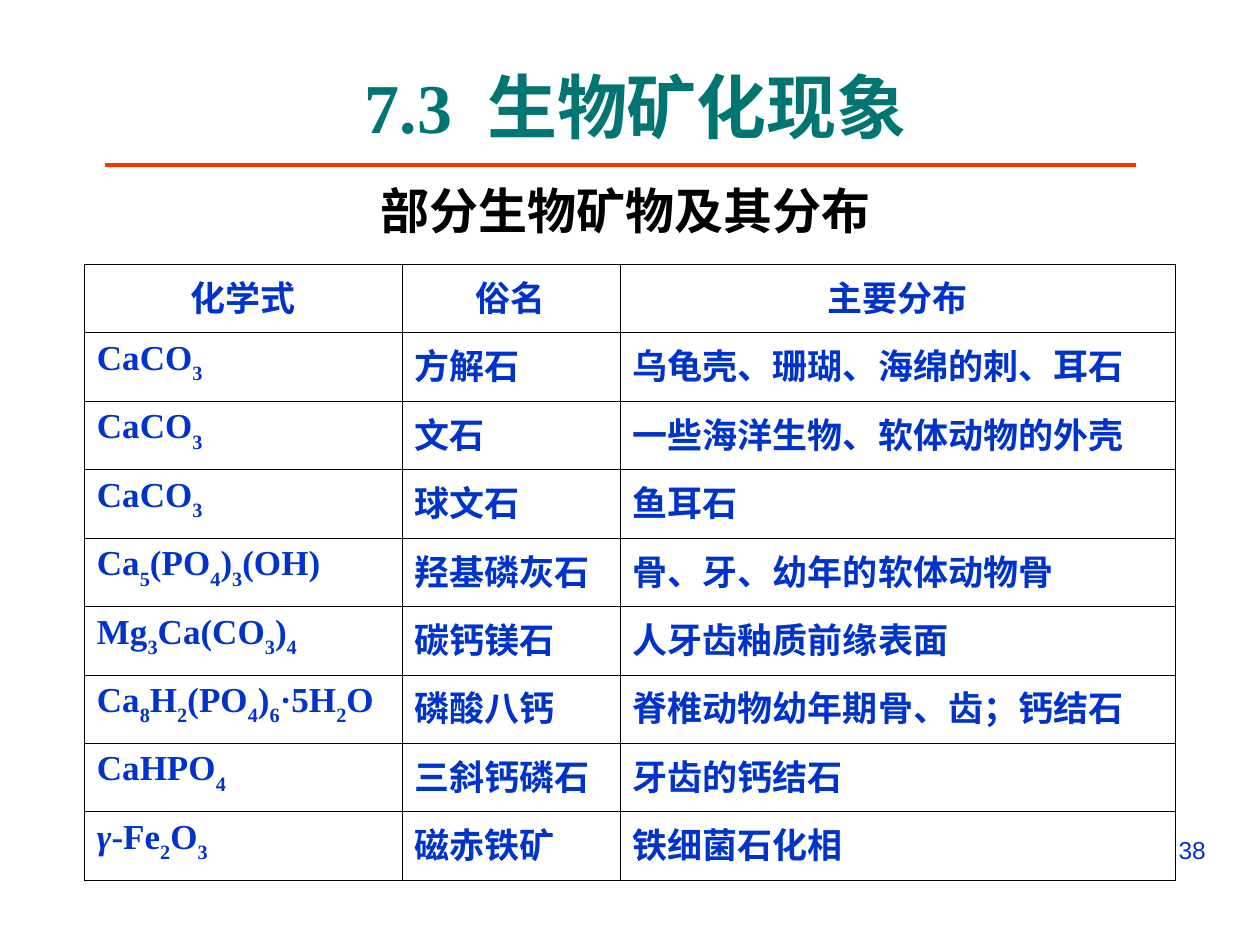
from lxml import etree
from pptx import Presentation
from pptx.dml.color import RGBColor
from pptx.enum.shapes import MSO_CONNECTOR
from pptx.enum.text import MSO_ANCHOR, PP_ALIGN
from pptx.oxml.ns import qn
from pptx.util import Cm, Pt

LEFT, CENTER, RIGHT = PP_ALIGN.LEFT, PP_ALIGN.CENTER, PP_ALIGN.RIGHT
TOP, MIDDLE = MSO_ANCHOR.TOP, MSO_ANCHOR.MIDDLE
STRAIGHT = MSO_CONNECTOR.STRAIGHT
SERIF, SANS = "Times New Roman", "Arial"
COLORS = {"title": "007572", "rule": "FF3300", "text": "0033CC",
          "black": "000000"}

TITLE = [("7.3  ", {}), ("生物矿化现象", {"font": SANS})]
SUBTITLE = " 部分生物矿物及其分布"
PAGE = "38"
HEADER = ["化学式", "俗名", "主要分布"]
MINERALS = [
    ("CaCO_3", "方解石", "乌龟壳、珊瑚、海绵的刺、耳石"),
    ("CaCO_3", "文石", "一些海洋生物、软体动物的外壳"),
    ("CaCO_3", "球文石", "鱼耳石"),
    ("Ca_5_(PO_4_)_3_(OH)", "羟基磷灰石", "骨、牙、幼年的软体动物骨"),
    ("Mg_3_Ca(CO_3_)_4", "碳钙镁石", "人牙齿釉质前缘表面"),
    ("Ca_8_H_2_(PO_4_)_6_·5H_2_O", "磷酸八钙", "脊椎动物幼年期骨、齿；钙结石"),
    ("CaHPO_4", "三斜钙磷石", "牙齿的钙结石"),
    ("γ-Fe_2_O_3", "磁赤铁矿", "铁细菌石化相"),
]
COL_WIDTHS = [6.4, 4.4, 11.2]
ROW_HEIGHT = 1.38


def formula(text):
    pieces = []
    for i, part in enumerate(text.split("_")):
        if part.startswith("γ"):
            pieces.append(("γ", {"italic": True}))
            part = part[1:]
        pieces.append((part, {"sub": i % 2 == 1}))
    return pieces


def add_run(p, text, size=20, font=SERIF, color="text", bold=True,
            italic=False, sub=False):
    r = p.add_run()
    r.text = text
    r.font.size = Pt(size)
    r.font.name = font
    r.font.bold = bold
    r.font.italic = italic
    r.font.color.rgb = RGBColor.from_string(COLORS[color])
    if sub:
        r.font._element.set("baseline", "-30000")


def write(tf, text, align=LEFT, **style):
    p = tf.paragraphs[0]
    p.alignment = align
    pieces = [(text, {})] if isinstance(text, str) else text
    for part, changes in pieces:
        add_run(p, part, **{**style, **changes})
    return p


def add_text(s, box, text, anchor=TOP, inset=(0.25, 0.13), **style):
    tf = s.shapes.add_textbox(*map(Cm, box)).text_frame
    tf.word_wrap = True
    tf.vertical_anchor = anchor
    tf.margin_left = tf.margin_right = Cm(inset[0])
    tf.margin_top = tf.margin_bottom = Cm(inset[1])
    return write(tf, text, **style)


def add_rule(s, x1, x2, y):
    line = s.shapes.add_connector(STRAIGHT, Cm(x1), Cm(y), Cm(x2), Cm(y))
    line.line.color.rgb = RGBColor.from_string(COLORS["rule"])
    line.line.width = Pt(2.25)
    etree.SubElement(line._element.spPr, qn("a:effectLst"))


def set_borders(cell, widths):
    tcPr = cell._tc.get_or_add_tcPr()
    for i, (side, width) in enumerate(widths.items()):
        ln = etree.Element(qn("a:ln" + side), w=str(Pt(width)))
        fill = etree.SubElement(ln, qn("a:solidFill"))
        etree.SubElement(fill, qn("a:srgbClr"), val=COLORS["black"])
        tcPr.insert(i, ln)


def add_minerals(s, x, y):
    rows = [HEADER] + MINERALS
    table = s.shapes.add_table(
        len(rows), len(HEADER), Cm(x), Cm(y),
        Cm(sum(COL_WIDTHS)), Cm(ROW_HEIGHT * len(rows))).table
    table.first_row = table.horz_banding = False
    for col, width in zip(table.columns, COL_WIDTHS):
        col.width = Cm(width)
    for i, values in enumerate(rows):
        table.rows[i].height = Cm(ROW_HEIGHT)
        top = 0.45 if i < 2 else 0.34
        bottom = 0.45 if i in (0, len(rows) - 1) else 0.34
        for j, value in enumerate(values):
            cell = table.cell(i, j)
            cell.fill.background()
            set_borders(cell, {"L": 0.34, "R": 0.34, "T": top, "B": bottom})
            write(cell.text_frame, formula(value) if j == 0 else value,
                  align=CENTER if i == 0 else LEFT)


def main():
    prs = Presentation()
    prs.slide_width, prs.slide_height = Cm(25.4), Cm(19.05)
    s = prs.slides.add_slide(prs.slide_layouts[6])
    add_text(s, (18.21, 16.71, 6.35, 1.32), PAGE, align=RIGHT,
             size=14, font=SANS, bold=False)
    p = add_text(s, (1.3, 3.53, 22.4, 1.6), SUBTITLE, inset=(0, 0),
                 align=CENTER, size=28, color="black")
    p.line_spacing = 1.1
    p.space_before = Pt(7)
    add_rule(s, 2.11, 22.91, 3.33)
    add_text(s, (1.7, 1.12, 22.23, 2.03), TITLE, anchor=MIDDLE,
             align=CENTER, size=40, color="title")
    add_minerals(s, 1.7, 5.33)
    prs.save("out.pptx")


if __name__ == "__main__":
    main()
